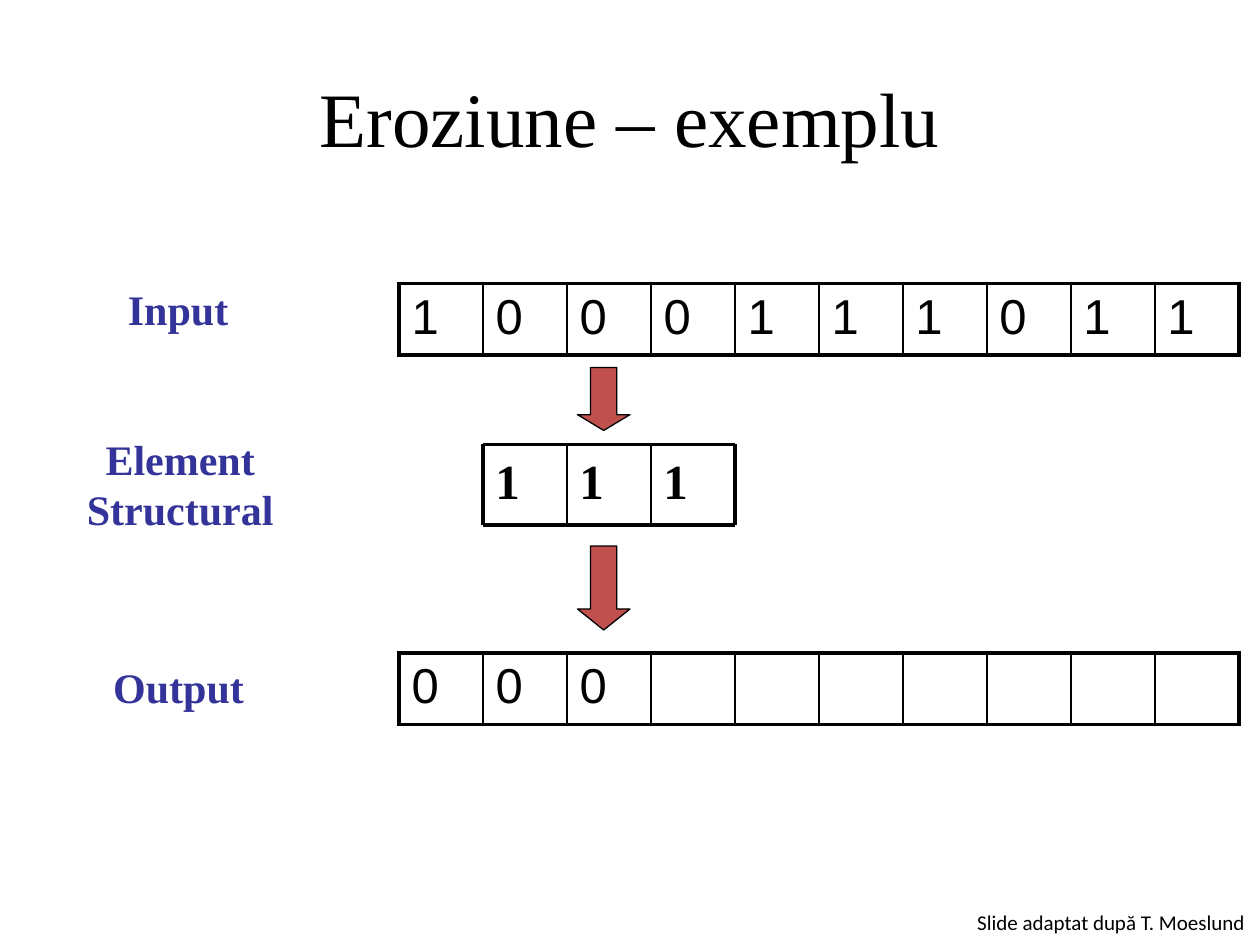
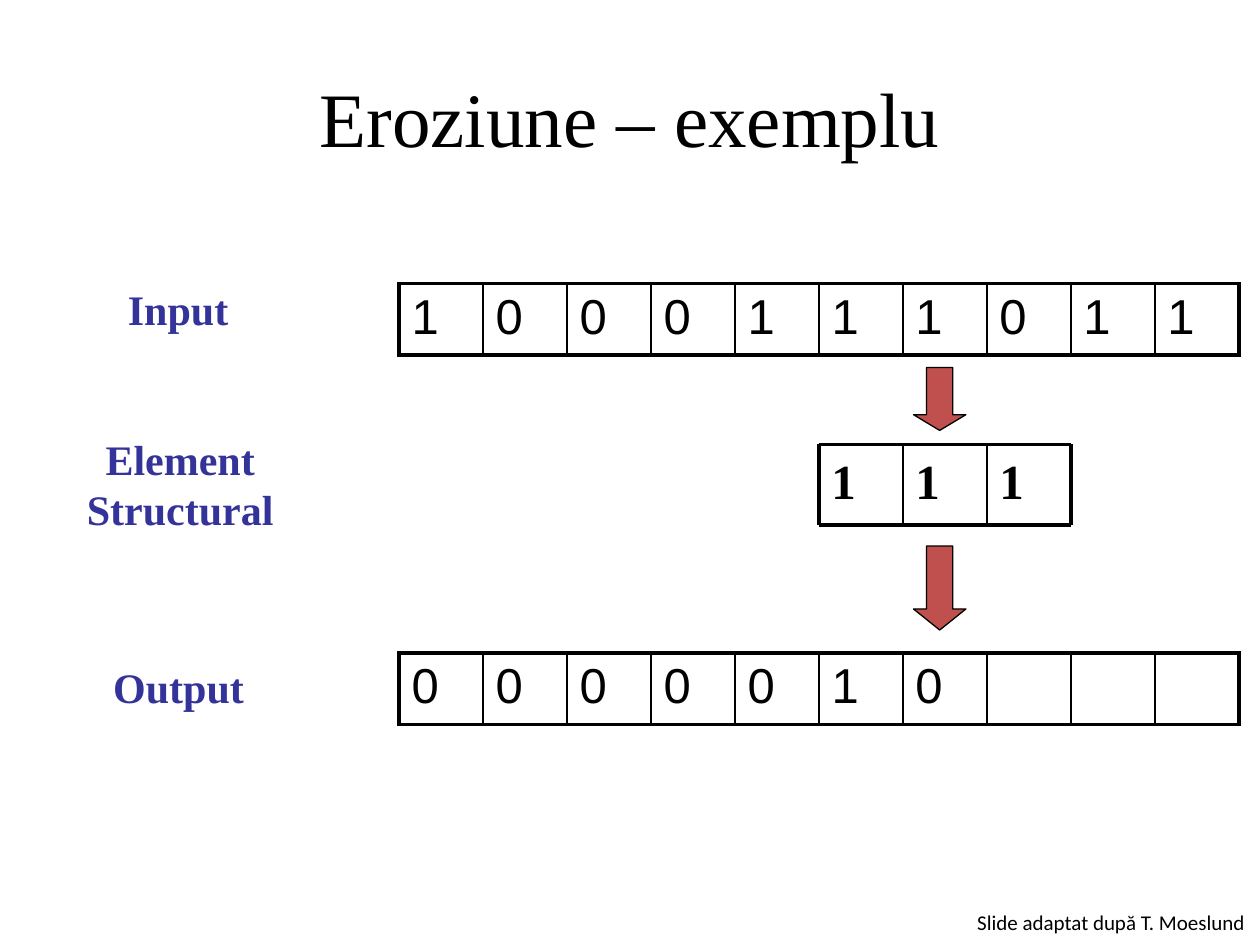
from lxml import etree
from pptx import Presentation
from pptx.dml.color import RGBColor
from pptx.enum import shapes, text
from pptx.oxml import ns
from pptx.util import Pt

# Content
TITLE = "Eroziune – exemplu"
CREDIT = "Slide adaptat după T. Moeslund"
INPUT = "1000111011"
ELEMENT = "111"
STEPS = [  # index of the first input cell under the element, output so far
    {"offset": 1, "output": "000"},
    {"offset": 5, "output": "0000010"},
]
ROW_LABELS = [  # lines, (left, top, width, height), alignment
    (["Input"], (66, 158.4, 72.7, 36), "LEFT"),
    (["Element", "Structural"], (41.8, 244, 122.4, 65.5), "CENTER"),
    (["Output"], (57.6, 374.4, 90, 36), "LEFT"),
]

# Shared style
BLACK = RGBColor(0x00, 0x00, 0x00)
LABEL_BLUE = RGBColor(0x33, 0x33, 0x99)
ARROW_RED = RGBColor(0xC0, 0x50, 0x4D)
TITLE_FONT = {"name": "Times New Roman", "size": Pt(44)}
LABEL_FONT = {"name": "Times New Roman", "size": Pt(24), "bold": True}
BIT_FONT = {"name": "Arial", "size": Pt(28)}
ELEMENT_FONT = {"name": "Times New Roman", "size": Pt(28), "bold": True}
CREDIT_FONT = {"name": "Calibri", "size": Pt(12)}
THICK, THIN = 2.25, 1

# Grid
GRID_LEFT, CELL, ROW_HEIGHT = 228, 48, 40.3
INPUT_TOP, OUTPUT_TOP = 162, 373.2
ELEMENT_TOP, ELEMENT_HEIGHT = 254, 46.2
ARROW_WIDTH, ARROW_SHIFT = 30, 54
ARROWS = [(312, 48, 0.4), (210, 36, 0.3)]  # top, height, head length


def set_font(paragraph, style, color=BLACK):
    for attribute, value in style.items():
        setattr(paragraph.font, attribute, value)
    paragraph.font.color.rgb = color


def add_words(parent, lines, box, style, color=BLACK, align="LEFT", wrap=False):
    frame = parent.add_textbox(*map(Pt, box)).text_frame
    frame.word_wrap = wrap
    if not wrap:
        frame.auto_size = text.MSO_AUTO_SIZE.SHAPE_TO_FIT_TEXT
    frame.text = "\n".join(lines)
    for paragraph in frame.paragraphs:
        paragraph.alignment = text.PP_ALIGN[align]
        set_font(paragraph, style, color)
    return frame


def set_border(cell, side, width):
    line = etree.SubElement(cell._tc.get_or_add_tcPr(), ns.qn(f"a:ln{side}"),
                            w=str(Pt(width)))
    fill = etree.SubElement(line, ns.qn("a:solidFill"))
    etree.SubElement(fill, ns.qn("a:srgbClr"), val=str(BLACK))


def add_bits(slide, bits, top):
    count = len(INPUT)
    table = slide.shapes.add_table(1, count, Pt(GRID_LEFT), Pt(top),
                                   Pt(count * CELL), Pt(ROW_HEIGHT)).table
    table.first_row = table.horz_banding = False
    for index, bit in enumerate(bits.ljust(count)):
        cell = table.cell(0, index)
        widths = {"L": THIN if index else THICK,
                  "R": THIN if index < count - 1 else THICK,
                  "T": THICK, "B": THICK}
        for side, width in widths.items():
            set_border(cell, side, width)
        cell.fill.background()
        cell.text = bit.strip()
        set_font(cell.text_frame.paragraphs[0], BIT_FONT)


def add_rule(parent, start, end, width):
    rule = parent.add_connector(shapes.MSO_CONNECTOR.STRAIGHT,
                                *map(Pt, start + end))
    rule.line.color.rgb = BLACK
    rule.line.width = Pt(width)
    etree.SubElement(rule._element.spPr, ns.qn("a:effectLst"))


def add_element(slide, left):
    parent = slide.shapes.add_group_shape().shapes
    count = len(ELEMENT)
    right, bottom = left + count * CELL, ELEMENT_TOP + ELEMENT_HEIGHT
    for index, bit in enumerate(ELEMENT):
        add_words(parent, [bit],
                  (left + index * CELL, ELEMENT_TOP, CELL, ELEMENT_HEIGHT),
                  ELEMENT_FONT, wrap=True)
    for y in (ELEMENT_TOP, bottom):
        add_rule(parent, (left, y), (right, y), THICK)
    for index in range(count + 1):
        x = left + index * CELL
        add_rule(parent, (x, ELEMENT_TOP), (x, bottom),
                 THICK if index in (0, count) else THIN)
    # Arrows above and below the element
    for top, height, head in ARROWS:
        arrow = parent.add_shape(
            shapes.MSO_SHAPE.DOWN_ARROW,
            *map(Pt, (left + ARROW_SHIFT, top, ARROW_WIDTH, height)))
        arrow.adjustments[0], arrow.adjustments[1] = 0.5, head
        arrow.shadow.inherit = False
        arrow.fill.solid()
        arrow.fill.fore_color.rgb = ARROW_RED
        arrow.line.color.rgb = BLACK
        arrow.line.width = Pt(0.75)


def build_step(deck, step):
    slide = deck.slides.add_slide(deck.slide_layouts[6])
    title = add_words(slide.shapes, [TITLE], (36, 21.6, 648, 90), TITLE_FONT,
                      align="CENTER", wrap=True)
    title.vertical_anchor = text.MSO_ANCHOR.MIDDLE
    add_bits(slide, INPUT, INPUT_TOP)
    add_bits(slide, step["output"], OUTPUT_TOP)
    add_element(slide, GRID_LEFT + step["offset"] * CELL)
    for lines, box, align in ROW_LABELS:
        add_words(slide.shapes, lines, box, LABEL_FONT, LABEL_BLUE, align)
    add_words(slide.shapes, [CREDIT], (551.3, 516.2, 170.8, 21.8), CREDIT_FONT)


def main():
    deck = Presentation()
    deck.slide_width, deck.slide_height = Pt(720), Pt(540)
    for step in STEPS:
        build_step(deck, step)
    deck.save("out.pptx")


if __name__ == "__main__":
    main()
